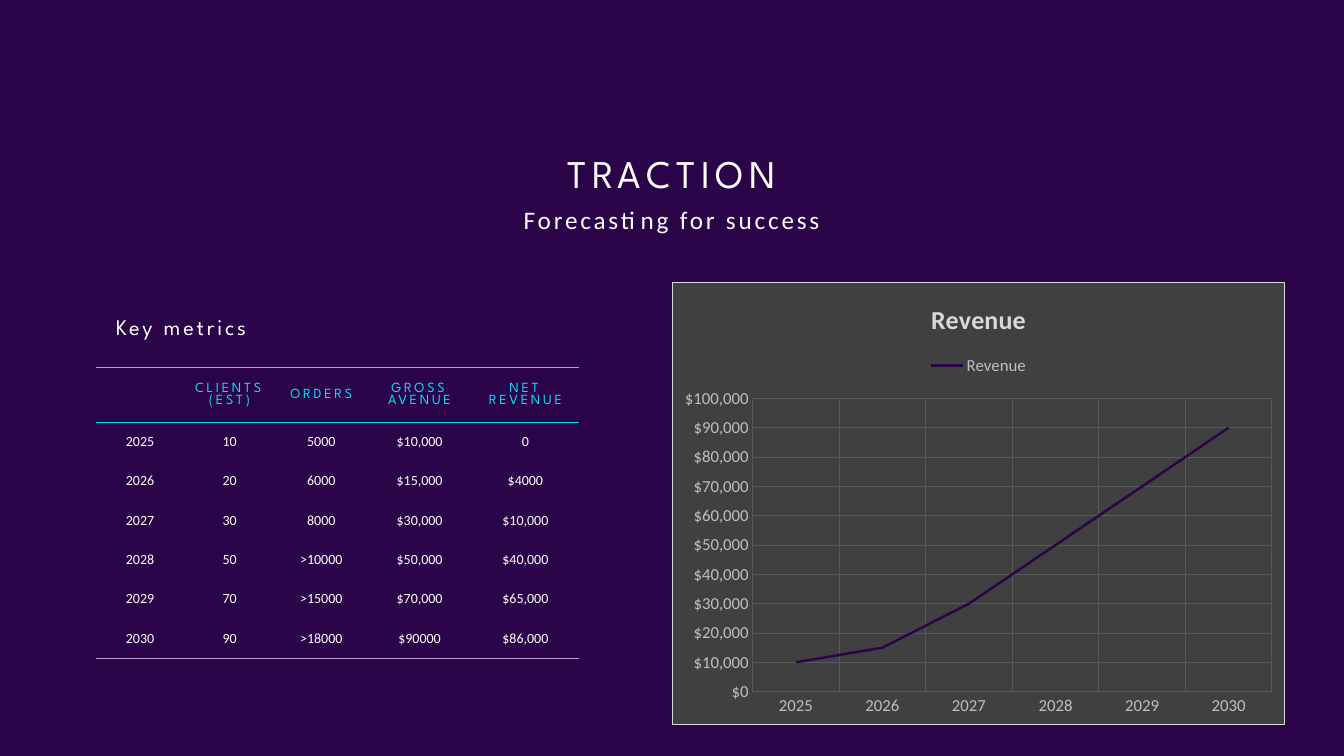
import pptx
import pptx.util
import pptx.chart.data
import pptx.dml.color
import pptx.enum.chart
import pptx.enum.text
import pptx.oxml
import pptx.oxml.ns

Pt = pptx.util.Pt
PP_ALIGN = pptx.enum.text.PP_ALIGN
ANCHOR = pptx.enum.text.MSO_ANCHOR

# Content
COLORS = {
    "night": "2B0348", "white": "FFFFFF", "cyan": "0BE1FF", "lavender": "BD9BD3",
    "panel": "404040", "grid": "595959", "label": "BFBFBF", "pale": "D9D9D9",
}
HEADINGS = [  # text, box, font, size, letter spacing, alignment, anchor
    ("TRACTION", (264.25, 90, 431.3, 54), "League Spartan", 28, 4,
     PP_ALIGN.CENTER, ANCHOR.BOTTOM),
    ("Forecasting for success", (277.2, 144.7, 405.4, 56.9), "Calibri", 18, 2,
     PP_ALIGN.CENTER, ANCHOR.TOP),
    ("Key metrics", (75.6, 222.5, 281.5, 35.3), "League Spartan", 16, 2,
     PP_ALIGN.LEFT, ANCHOR.TOP),
]
METRICS = [
    ("", "CLIENTS (EST)", "ORDERS", "GROSS AVENUE", "NET REVENUE"),
    ("2025", "10", "5000", "$10,000", "0"),
    ("2026", "20", "6000", "$15,000", "$4000"),
    ("2027", "30", "8000", "$30,000", "$10,000"),
    ("2028", "50", ">10000", "$50,000", "$40,000"),
    ("2029", "70", ">15000", "$70,000", "$65,000"),
    ("2030", "90", ">18000", "$90000", "$86,000"),
]
METRICS_LEFT, METRICS_TOP = 68.4, 262.5
COLUMN_WIDTHS = [63.2, 64.8, 66.2, 74.2, 77]
ROW_HEIGHTS = [39.2, 28, 28, 28, 28, 28.6, 28]
REVENUE = {"2025": 10000, "2026": 15000, "2027": 30000,
           "2028": 50000, "2029": 70000, "2030": 90000}
REVENUE_BOX = (480.2, 201.2, 437.4, 316.6)
NO_STYLE = "{2D5ABB26-0587-4C30-8999-92F81FD0307C}"


def rgb(name):
    return pptx.dml.color.RGBColor.from_string(COLORS[name])


def style_font(font, face, size, color, bold=False):
    font.name, font.size, font.bold = face, Pt(size), bold
    font.color.rgb = rgb(color)


def style_paragraph(paragraph, face, size, color, spacing, align):
    paragraph.alignment = align
    for run in paragraph.runs:
        style_font(run.font, face, size, color)
        run.font._element.set("spc", str(spacing * 100))


def line_xml(tag, color, width):
    return (f'<a:{tag} {pptx.oxml.ns.nsdecls("a")} w="{int(Pt(width))}"><a:solidFill>'
            f'<a:srgbClr val="{COLORS[color]}"/></a:solidFill></a:{tag}>')


def add_border(cell, tag, color):
    properties = cell._tc.get_or_add_tcPr()
    position = len(properties.findall(pptx.oxml.ns.qn("a:lnT")))
    properties.insert(position, pptx.oxml.parse_xml(line_xml(tag, color, 1)))


def add_headings(slide):
    for text, box, face, size, spacing, align, anchor in HEADINGS:
        frame = slide.shapes.add_textbox(*map(Pt, box)).text_frame
        frame.word_wrap = True
        frame.vertical_anchor = anchor
        frame.text = text
        frame.paragraphs[0].line_spacing = 0.9
        style_paragraph(frame.paragraphs[0], face, size, "white", spacing, align)


def add_metrics(slide):
    size = sum(COLUMN_WIDTHS), sum(ROW_HEIGHTS)
    metrics = slide.shapes.add_table(
        len(METRICS), len(METRICS[0]),
        *map(Pt, (METRICS_LEFT, METRICS_TOP, *size))).table
    metrics._tbl.tblPr.find(pptx.oxml.ns.qn("a:tableStyleId")).text = NO_STYLE
    metrics.horz_banding = False
    for column, width in zip(metrics.columns, COLUMN_WIDTHS):
        column.width = Pt(width)
    for row, height in zip(metrics.rows, ROW_HEIGHTS):
        row.height = Pt(height)

    for r, values in enumerate(METRICS):
        for c, value in enumerate(values):
            cell = metrics.cell(r, c)
            cell.text = value
            cell.vertical_anchor = ANCHOR.MIDDLE
            cell.margin_left = cell.margin_right = Pt(6.5)
            cell.margin_top = cell.margin_bottom = Pt(3)
            face, color, spacing = (("Calibri", "white", 0) if r
                                    else ("League Spartan", "cyan", 2))
            paragraph = cell.text_frame.paragraphs[0]
            style_paragraph(paragraph, face, 10, color, spacing, PP_ALIGN.CENTER)
            if r == 0:
                paragraph.line_spacing = 0.9
                cell.fill.background()
                add_border(cell, "lnT", "lavender")
                add_border(cell, "lnB", "cyan")
            else:
                cell.fill.solid()
                cell.fill.fore_color.rgb = rgb("night")
            if r == len(METRICS) - 1:
                add_border(cell, "lnB", "lavender")


def add_revenue(slide):
    data = pptx.chart.data.CategoryChartData(number_format='"$"#,##0')
    data.categories = list(REVENUE)
    data.add_series("Revenue", list(REVENUE.values()))
    chart = slide.shapes.add_chart(
        pptx.enum.chart.XL_CHART_TYPE.LINE_STACKED, *map(Pt, REVENUE_BOX), data).chart
    style_font(chart.font, "Calibri", 12, "label")

    # Title and legend
    chart.has_title = True
    title = chart.chart_title.text_frame
    title.text = "Revenue"
    style_font(title.paragraphs[0].runs[0].font, "Calibri", 18.6, "pale", True)
    chart.has_legend = True
    chart.legend.position = pptx.enum.chart.XL_LEGEND_POSITION.TOP
    chart.legend.include_in_layout = False
    style_font(chart.legend.font, "Calibri", 12, "label")

    # Axes
    for axis in (chart.category_axis, chart.value_axis):
        axis.major_tick_mark = axis.minor_tick_mark = pptx.enum.chart.XL_TICK_MARK.NONE
        axis.format.line.fill.background()
        axis.has_major_gridlines = True
        axis.major_gridlines.format.line.color.rgb = rgb("grid")
        axis.major_gridlines.format.line.width = Pt(0.75)
        style_font(axis.tick_labels.font, "Calibri", 12, "label")
    chart.value_axis.minimum_scale = 0
    chart.value_axis.maximum_scale = 100000
    chart.value_axis.major_unit = 10000
    chart.value_axis.tick_labels.number_format = '"$"#,##0'
    chart.value_axis.tick_labels.number_format_is_linked = False

    # Revenue line
    chart.plots[0].vary_by_categories = False
    revenue = chart.plots[0].series[0]
    revenue.smooth = False
    revenue.marker.style = pptx.enum.chart.XL_MARKER_STYLE.NONE
    revenue.format.line.color.rgb = rgb("night")
    revenue.format.line.width = Pt(1.75)

    # Panel behind the chart
    panel = pptx.oxml.parse_xml(
        f'<c:spPr {pptx.oxml.ns.nsdecls("c", "a")}><a:solidFill>'
        f'<a:srgbClr val="{COLORS["panel"]}"/></a:solidFill>'
        f'{line_xml("ln", "pale", 0.75)}</c:spPr>')
    chart._chartSpace.find(pptx.oxml.ns.qn("c:chart")).addnext(panel)


def main():
    deck = pptx.Presentation()
    deck.slide_width, deck.slide_height = Pt(960), Pt(540)
    slide = deck.slides.add_slide(deck.slide_layouts[6])
    slide.background.fill.solid()
    slide.background.fill.fore_color.rgb = rgb("night")
    add_headings(slide)
    add_metrics(slide)
    add_revenue(slide)
    deck.save("out.pptx")


if __name__ == "__main__":
    main()
